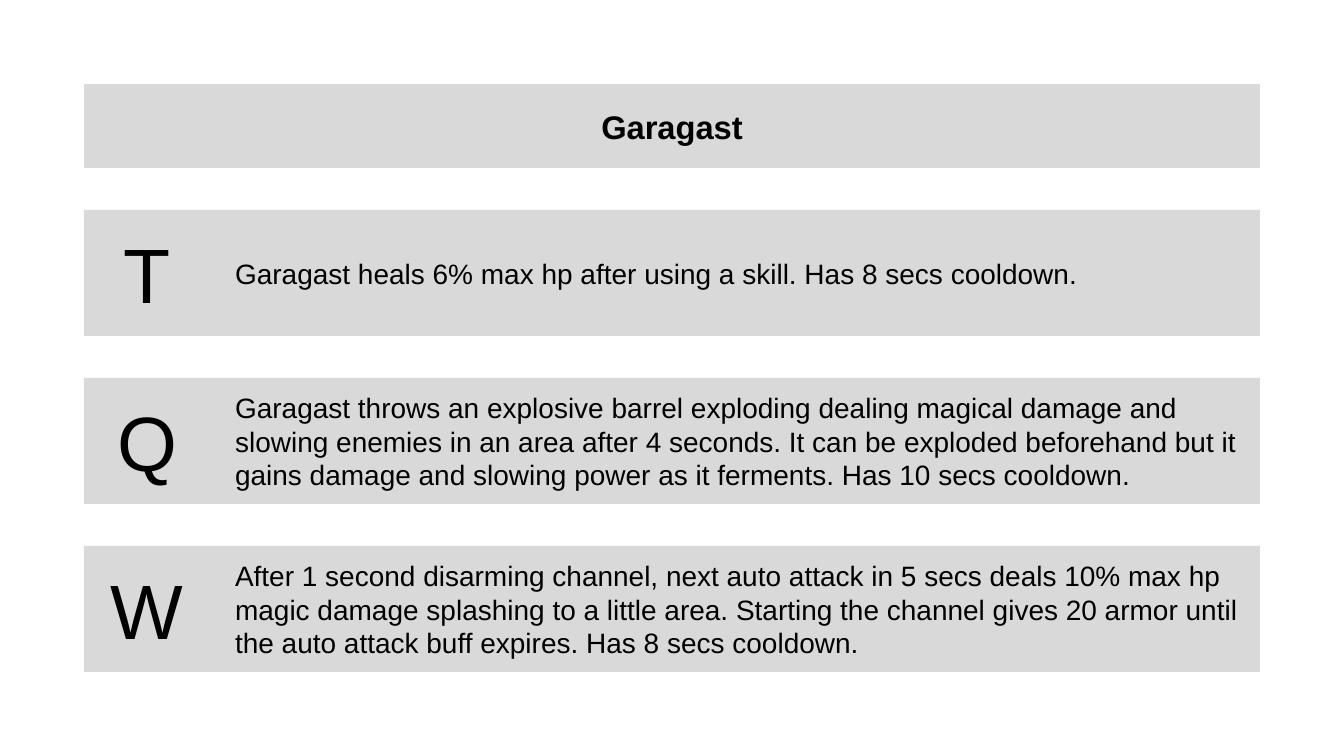
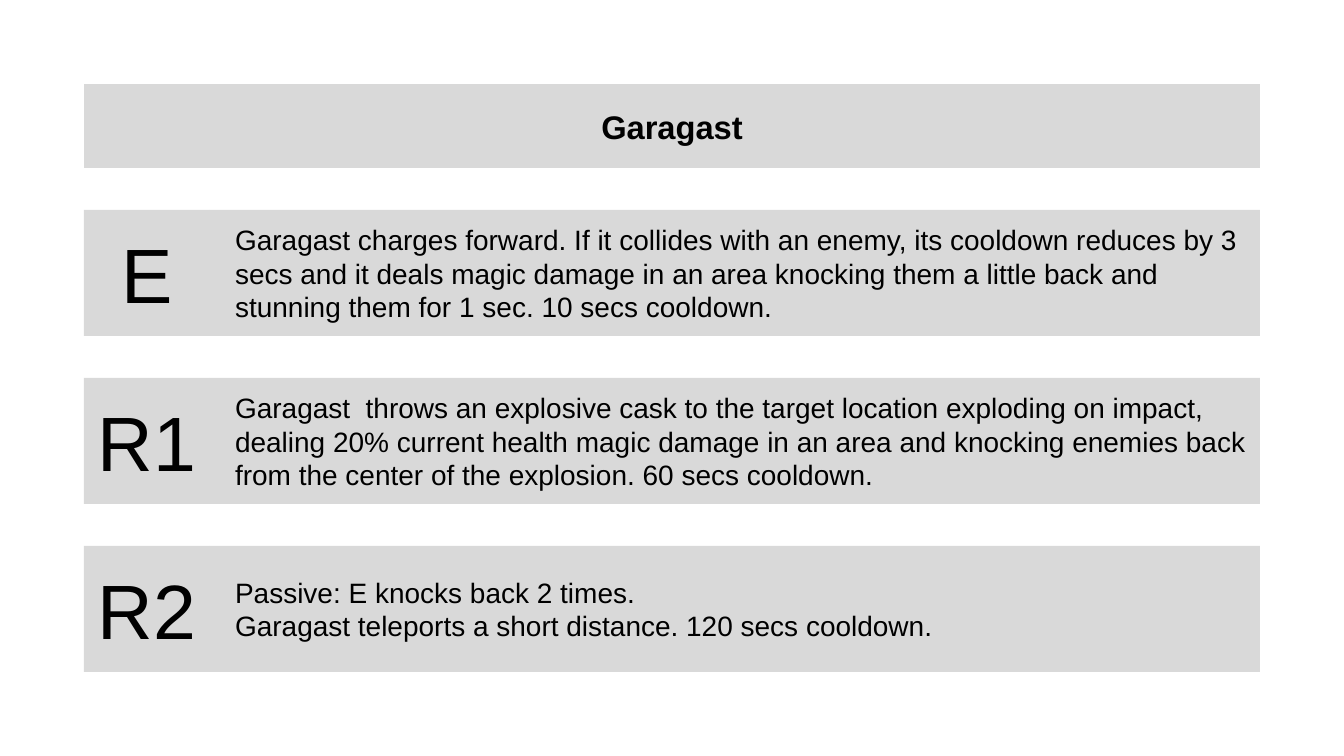
from dataclasses import dataclass

from pptx import Presentation
from pptx.dml.color import RGBColor
from pptx.enum.shapes import MSO_SHAPE
from pptx.enum.text import MSO_ANCHOR, MSO_AUTO_SIZE, PP_ALIGN
from pptx.util import Pt

RECTANGLE = MSO_SHAPE.RECTANGLE
MIDDLE = MSO_ANCHOR.MIDDLE
NO_AUTOFIT = MSO_AUTO_SIZE.NONE
CENTER, LEFT = PP_ALIGN.CENTER, PP_ALIGN.LEFT
TITLE_ONLY = 5


@dataclass(frozen=True)
class Theme:
    font: str = "Arial"
    ink: RGBColor = RGBColor(0x00, 0x00, 0x00)
    band: RGBColor = RGBColor(0xD9, 0xD9, 0xD9)
    title_size: int = 28
    key_size: int = 66
    text_size: int = 24


SLIDE_WIDTH, SLIDE_HEIGHT = 1152, 648
MARGIN = 72
BAND_WIDTH = SLIDE_WIDTH - 2 * MARGIN
TITLE_HEIGHT = 72
ROW_HEIGHT = 108
GAP = 36
FIRST_ROW = MARGIN + TITLE_HEIGHT + GAP
TEXT_INDENT = 14.4

HERO = "Garagast"
SKILL_PAGES = [
    [
        ("T", ["Garagast heals 6% max hp after using a skill. Has 8 secs cooldown."]),
        ("Q", ["Garagast throws an explosive barrel exploding dealing magical damage "
               "and slowing enemies in an area after 4 seconds. It can be exploded "
               "beforehand but it gains damage and slowing power as it ferments. "
               "Has 10 secs cooldown."]),
        ("W", ["After 1 second disarming channel, next auto attack in 5 secs deals "
               "10% max hp magic damage splashing to a little area. Starting the "
               "channel gives 20 armor until the auto attack buff expires. "
               "Has 8 secs cooldown."]),
    ],
    [
        ("E", ["Garagast charges forward. If it collides with an enemy, its cooldown "
               "reduces by 3 secs and it deals magic damage in an area knocking them "
               "a little back and stunning them for 1 sec. 10 secs cooldown."]),
        ("R1", ["Garagast  throws an explosive cask to the target location exploding "
                "on impact, dealing 20% current health magic damage in an area and "
                "knocking enemies back from the center of the explosion. "
                "60 secs cooldown."]),
        ("R2", ["Passive: E knocks back 2 times.",
                "Garagast teleports a short distance. 120 secs cooldown."]),
    ],
]


class SkillDeck:
    def __init__(self, theme):
        self.theme = theme
        self.presentation = Presentation()
        self.presentation.slide_width = Pt(SLIDE_WIDTH)
        self.presentation.slide_height = Pt(SLIDE_HEIGHT)
        self.slide = None

    def new_slide(self):
        layout = self.presentation.slide_layouts[TITLE_ONLY]
        self.slide = self.presentation.slides.add_slide(layout)

    def style_band(self, band, lines, size, align, bold=False, indent=0):
        band.fill.solid()
        band.fill.fore_color.rgb = self.theme.band
        band.line.fill.background()
        frame = band.text_frame
        frame.word_wrap = True
        frame.auto_size = NO_AUTOFIT
        frame.vertical_anchor = MIDDLE
        for number, line in enumerate(lines):
            paragraph = frame.add_paragraph() if number else frame.paragraphs[0]
            paragraph.alignment = align
            if indent:
                paragraph._p.get_or_add_pPr().set("marL", str(Pt(indent)))
            run = paragraph.add_run()
            run.text = line
            run.font.name = self.theme.font
            run.font.size = Pt(size)
            run.font.bold = bold
            run.font.color.rgb = self.theme.ink

    def title(self, heading):
        band = self.slide.shapes.title
        band.left, band.top = Pt(MARGIN), Pt(MARGIN)
        band.width, band.height = Pt(BAND_WIDTH), Pt(TITLE_HEIGHT)
        self.style_band(band, [heading], self.theme.title_size, CENTER, bold=True)

    def panel(self, left, top, width, lines, size, align, indent=0):
        band = self.slide.shapes.add_shape(
            RECTANGLE, Pt(left), Pt(top), Pt(width), Pt(ROW_HEIGHT))
        band.shadow.inherit = False
        self.style_band(band, lines, size, align, indent=indent)

    def skill(self, row, key, description):
        top = FIRST_ROW + row * (ROW_HEIGHT + GAP)
        self.panel(MARGIN + ROW_HEIGHT, top, BAND_WIDTH - ROW_HEIGHT,
                   description, self.theme.text_size, LEFT, TEXT_INDENT)
        self.panel(MARGIN, top, ROW_HEIGHT, [key], self.theme.key_size, CENTER)


def main():
    deck = SkillDeck(Theme())
    for skills in SKILL_PAGES:
        deck.new_slide()
        deck.title(HERO)
        for row, (key, description) in enumerate(skills):
            deck.skill(row, key, description)
    deck.presentation.save("out.pptx")


if __name__ == "__main__":
    main()
